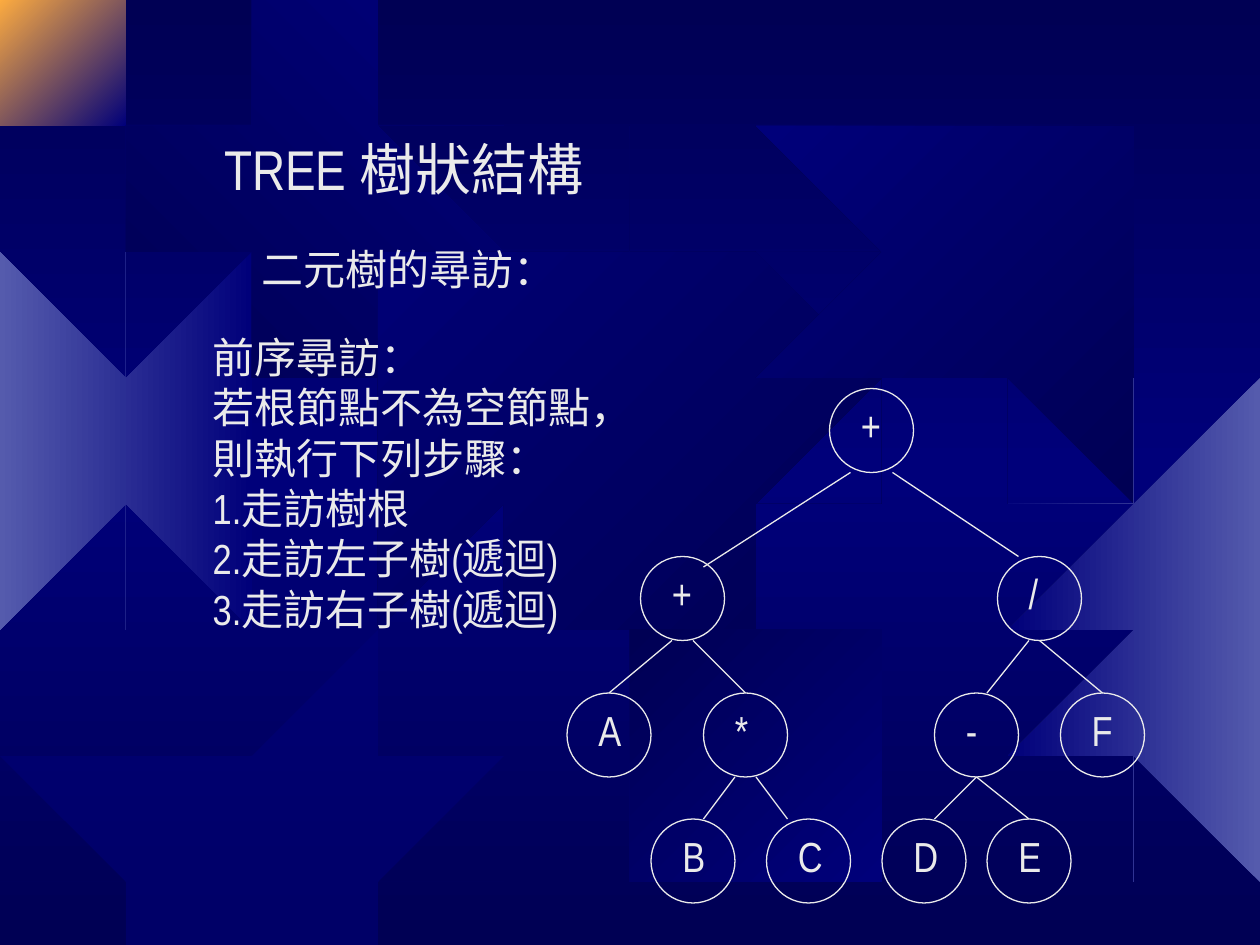
from copy import deepcopy

from lxml.etree import SubElement
from pptx import Presentation
from pptx.dml.color import RGBColor
from pptx.enum.shapes import MSO_CONNECTOR, MSO_SHAPE
from pptx.enum.text import MSO_AUTO_SIZE
from pptx.oxml.ns import qn
from pptx.util import Inches, Pt

NAVY = RGBColor(0x00, 0x00, 0x54)
BLUE = RGBColor(0x00, 0x00, 0x7A)
LAVENDER = RGBColor(0x55, 0x5B, 0xAD)
ORANGE = RGBColor(0xFC, 0xAB, 0x40)
PALE = RGBColor(0xEA, 0xEA, 0xEA)

FONT = "Arial Narrow"
WIDTH, HEIGHT = 10, 7.5
CELL = 1 / 12
NODE = 8

GEAR_SPAN = 401
GEAR = [
    (255, 67), (223, 59), (219, 0), (180, 3), (177, 59), (151, 68),
    (113, 20), (87, 35), (112, 88), (94, 106), (38, 85), (25, 107),
    (68, 145), (61, 174), (1, 178), (0, 210), (61, 219), (67, 246),
    (22, 287), (38, 312), (88, 288), (107, 307), (81, 355), (106, 375),
    (151, 332), (177, 340), (183, 400), (222, 401), (226, 339), (259, 330),
    (299, 374), (325, 358), (299, 306), (316, 284), (368, 309), (384, 281),
    (336, 246), (342, 216), (401, 210), (400, 180), (341, 171), (335, 148),
    (383, 114), (367, 87), (313, 109), (296, 91), (323, 41), (297, 25),
]

GEARS = [
    (-0.49, 2.01, 2.96, (BLUE, LAVENDER), 180),
    (0.12, -0.04, 0.92, (BLUE, ORANGE), 225),
    (1.3, 0.39, 2.48, (BLUE, NAVY), 135),
    (2.77, 1.39, 4.01, (NAVY, BLUE), 225),
    (0, 5.25, 3.74, (BLUE,), None),
    (4.91, 4.84, 2.48, (BLUE, NAVY), 225),
    (6.18, 0.53, 3.2, (NAVY, BLUE), 225),
    (7.82, 2.8, 4.37, (LAVENDER, BLUE), 180),
]

NODES = [
    ("+", 25, 0, 0.36),
    ("+", 7, 16, 0.36), ("/", 41, 16, 0.27),
    ("A", 0, 29, 0.38), ("*", 13, 29, 0.3), ("-", 35, 29, 0.29), ("F", 47, 29, 0.36),
    ("B", 8, 41, 0.38), ("C", 19, 41, 0.39), ("D", 30, 41, 0.39), ("E", 40, 41, 0.38),
]

LINKS = [
    (27, 8, 13, 17), (31, 8, 43, 16),
    (10, 24, 4, 29), (12, 24, 17, 29), (44, 24, 40, 29), (45, 24, 51, 29),
    (16, 37, 13, 41), (18, 37, 21, 41), (39, 37, 35, 41), (39, 37, 44, 41),
]

STEPS = """前序尋訪：
若根節點不為空節點，
則執行下列步驟：
1.走訪樹根
2.走訪左子樹(遞迴)
3.走訪右子樹(遞迴)"""


def set_gradient(fill, colors, angle):
    fill.gradient()
    fill.gradient_angle = 360 - angle
    for stop, color in zip(fill.gradient_stops, colors):
        stop.color.rgb = color


def set_background(s):
    fill = s.background.fill
    set_gradient(fill, (NAVY, BLUE), 90)
    first, middle = s.background._cSld.findall(".//" + qn("a:gs"))
    middle.set("pos", "50000")
    last = deepcopy(first)
    last.set("pos", "100000")
    middle.addnext(last)


def clip(points, axis, limit, sign):
    kept = []
    for a, b in zip(points, points[1:] + points[:1]):
        a_gap, b_gap = (sign * (limit - p[axis]) for p in (a, b))
        if a_gap >= 0:
            kept.append(a)
        if a_gap * b_gap < 0:
            t = a_gap / (a_gap - b_gap)
            kept.append(tuple(m + t * (n - m) for m, n in zip(a, b)))
    return kept


def add_gear(s, left, top, size, colors, angle):
    points = [(left + x * size / GEAR_SPAN, top + y * size / GEAR_SPAN) for x, y in GEAR]
    for axis, limit in enumerate((WIDTH, HEIGHT)):
        points = clip(clip(points, axis, limit, 1), axis, 0, -1)
    builder = s.shapes.build_freeform(*points[0], scale=Inches(1))
    builder.add_line_segments(points[1:], close=True)
    sp = builder.convert_to_shape()
    sp.shadow.inherit = False
    sp.line.fill.background()
    if angle is None:
        sp.fill.solid()
        sp.fill.fore_color.rgb = colors[0]
        color = sp._element.spPr.find(".//" + qn("a:srgbClr"))
        SubElement(color, qn("a:alpha"), val="50000")
    else:
        set_gradient(sp.fill, colors, angle)


def add_text(shapes, text, left, top, width, height, size=24, color=PALE):
    sp = shapes.add_textbox(Inches(left), Inches(top), Inches(width), Inches(height))
    tf = sp.text_frame
    tf.word_wrap = False
    tf.auto_size = MSO_AUTO_SIZE.SHAPE_TO_FIT_TEXT
    for i, line in enumerate(text.split("\n")):
        p = tf.paragraphs[0] if i == 0 else tf.add_paragraph()
        r = p.add_run()
        r.text = line
        r.font.name = FONT
        r.font.size = Pt(size)
        r.font.color.rgb = color


def set_line(line):
    line.color.rgb = PALE
    line.width = Pt(0.75)


def add_node(s, label, left, top, text_width):
    group = s.shapes.add_group_shape()
    size = Inches(NODE * CELL)
    sp = group.shapes.add_shape(MSO_SHAPE.OVAL, Inches(left), Inches(top), size, size)
    sp.shadow.inherit = False
    sp.fill.background()
    set_line(sp.line)
    add_text(group.shapes, label, left + 0.15, top + 0.04, text_width, 0.5)


def add_link(s, x1, y1, x2, y2):
    c = s.shapes.add_connector(MSO_CONNECTOR.STRAIGHT, *(Inches(v) for v in (x1, y1, x2, y2)))
    set_line(c.line)
    SubElement(c._element.spPr, qn("a:effectLst"))


def add_tree(s, left, top):
    for label, col, row, text_width in NODES:
        add_node(s, label, left + col * CELL, top + row * CELL, text_width)
    for x1, y1, x2, y2 in LINKS:
        add_link(s, left + x1 * CELL, top + y1 * CELL, left + x2 * CELL, top + y2 * CELL)


def main():
    prs = Presentation()
    prs.slide_width, prs.slide_height = Inches(WIDTH), Inches(HEIGHT)
    s = prs.slides.add_slide(prs.slide_layouts[6])
    set_background(s)
    for gear in GEARS:
        add_gear(s, *gear)
    add_text(s.shapes, "TREE 樹狀結構", 1.68, 1.02, 3.16, 0.64, size=32)
    add_text(s.shapes, "二元樹的尋訪：", 1.98, 1.88, 2.53, 0.5)
    add_tree(s, 54 * CELL, 37 * CELL)
    add_text(s.shapes, STEPS, 1.59, 2.58, 3.53, 2.5)
    prs.save("out.pptx")


if __name__ == "__main__":
    main()
